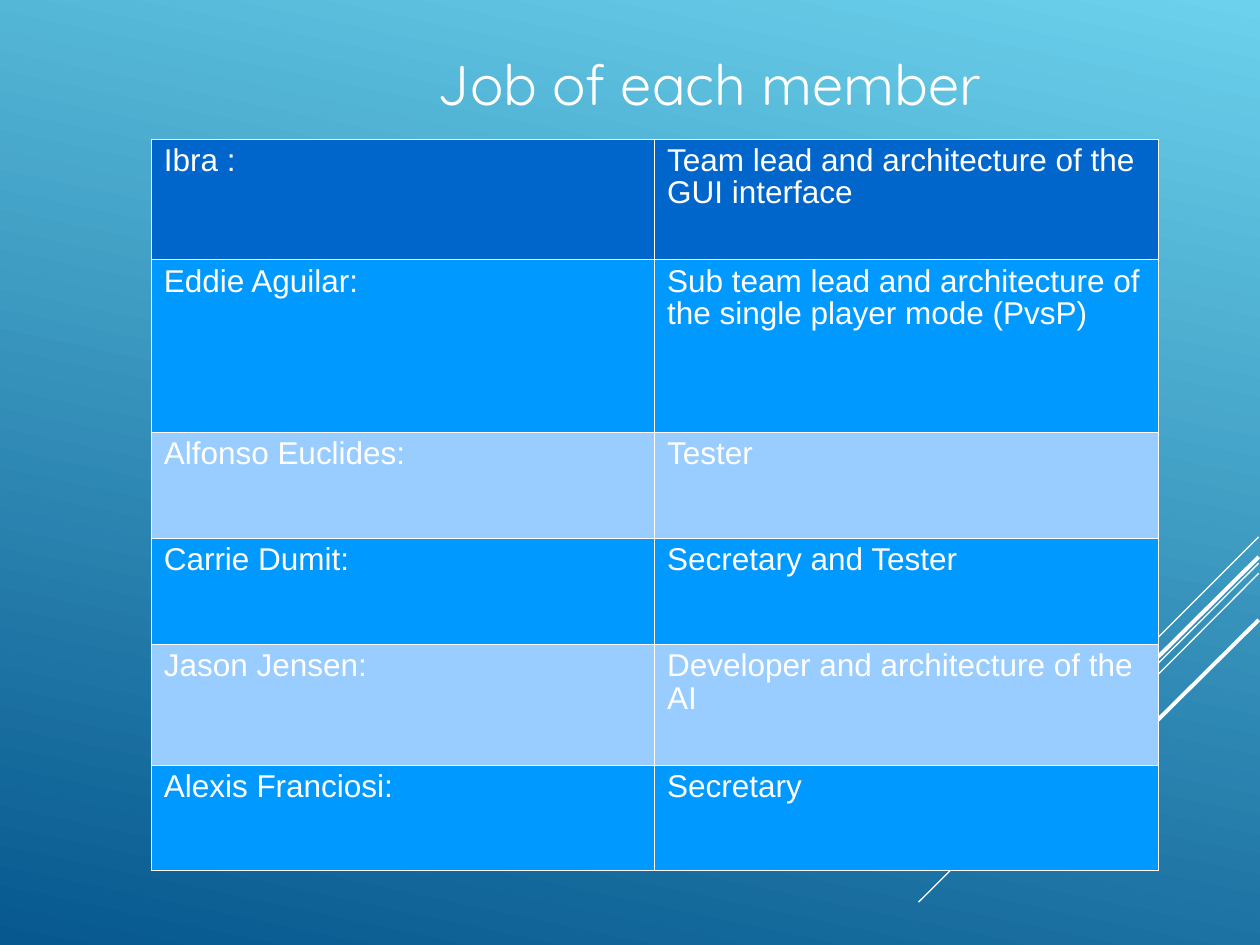
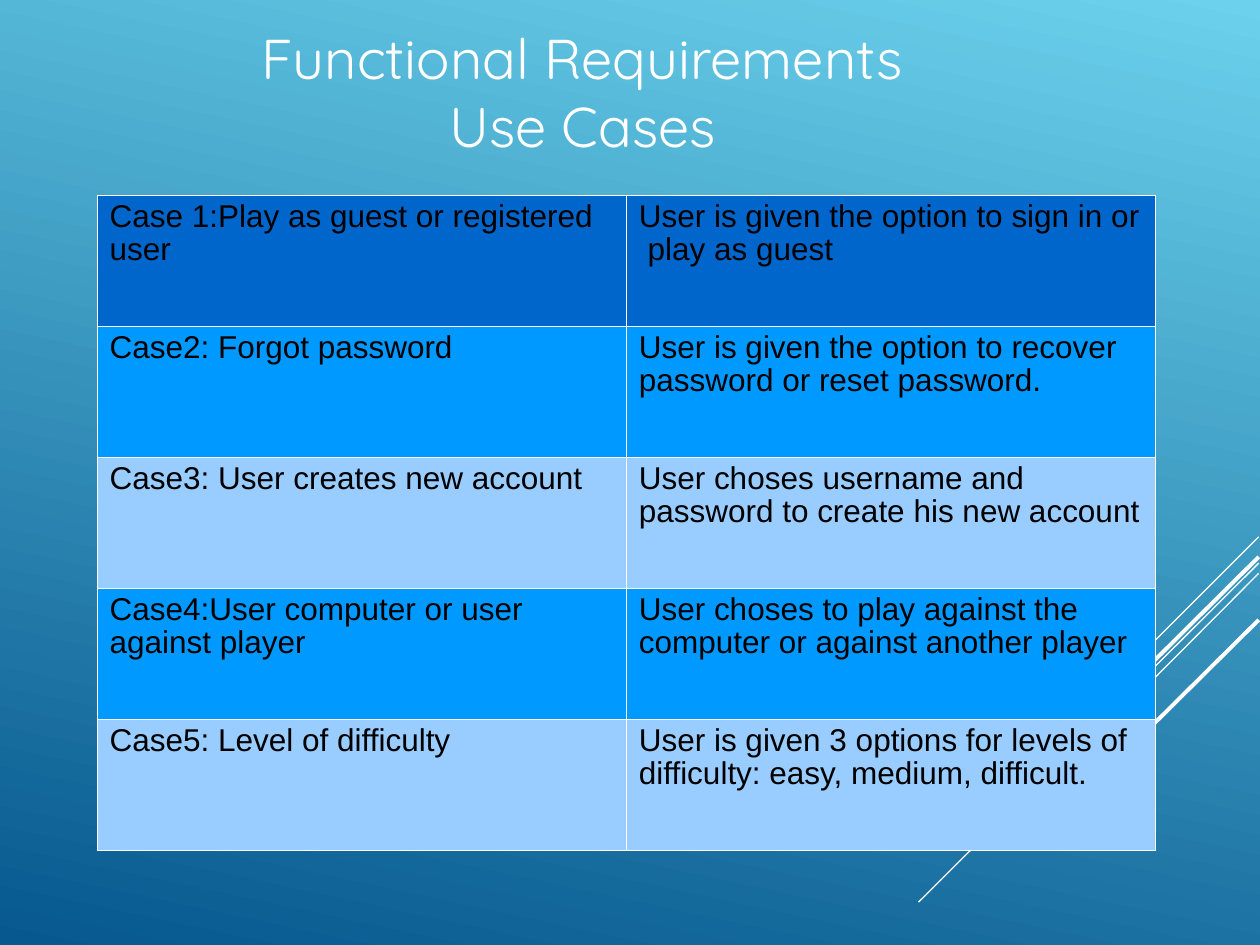
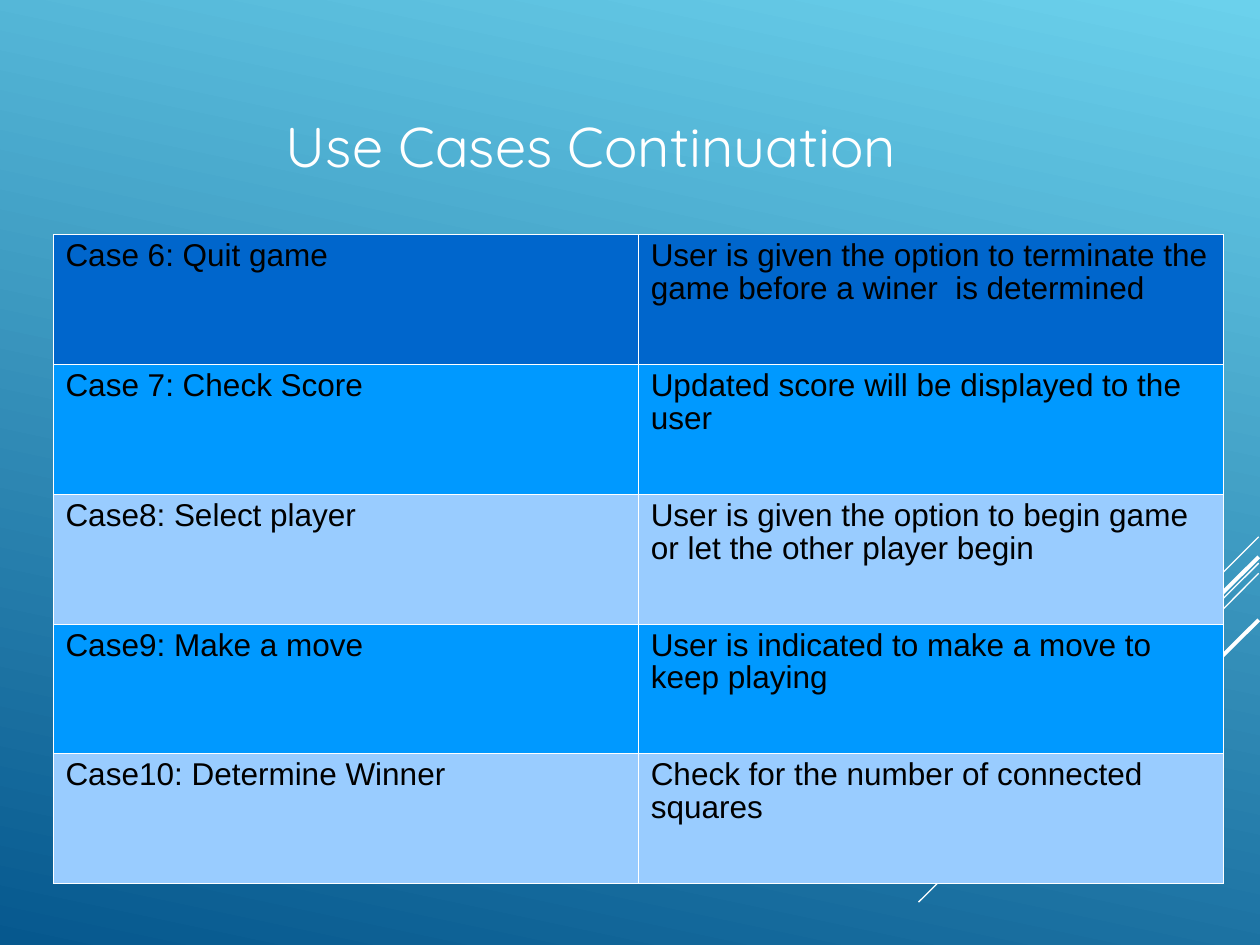
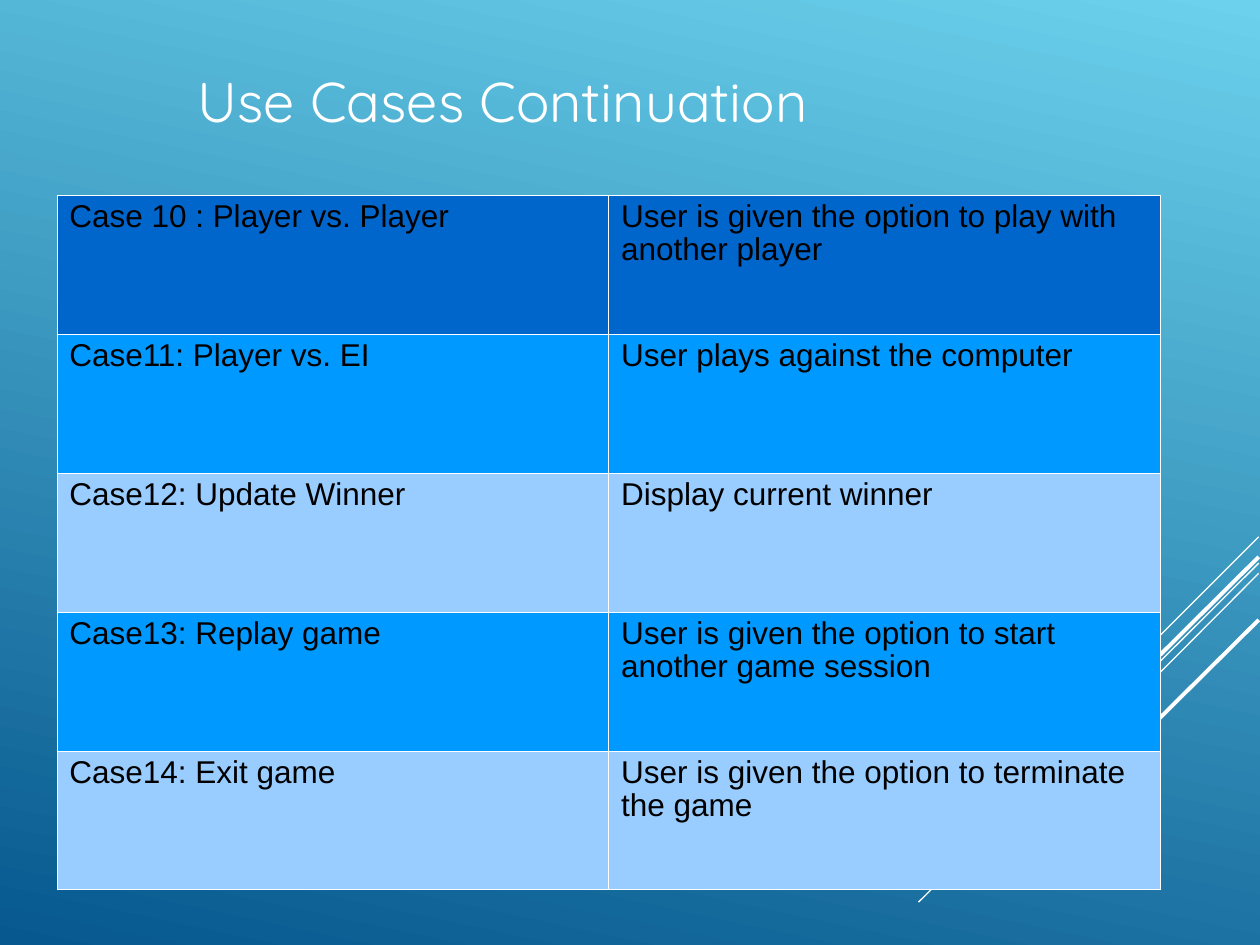
from dataclasses import dataclass

from lxml import etree
from pptx import Presentation
from pptx import util as u
from pptx.dml.color import RGBColor
from pptx.enum import shapes, text
from pptx.oxml.ns import qn


@dataclass(frozen=True)
class Theme:
    white: RGBColor = RGBColor.from_string("FFFFFF")
    black: RGBColor = RGBColor.from_string("000000")
    gradient: tuple = (RGBColor.from_string("06588E"), RGBColor.from_string("6BD1EC"))
    gradient_angle: int = 78
    header_fill: RGBColor = RGBColor.from_string("0066CC")
    band_fills: tuple = (RGBColor.from_string("0099FF"), RGBColor.from_string("99CCFF"))
    title_font: str = "Quicksand"
    title_size: int = 32
    table_font: str = "Arial"
    table_size: int = 18
    line_spacing: float = 0.93
    border_width: float = 0.06
    thin: float = 0.75
    thick: float = 2.25


THEME = Theme()
TITLE_SIZE = (7.17, 1.67)
CENTERED_INSETS = (0.1, 0.05, 0.1, 0.05)
LEFT_INSETS = (0, 0.03, 0, 0)

# Start height on the right edge, end point, line width
CORNER_LINES = [
    (4.26, (9.17, 5.08), THEME.thin),
    (4.47, (7.29, 7.16), THEME.thin),
    (4.55, (8.28, 6.27), THEME.thin),
    (4.42, (8.41, 5.99), THEME.thick),
    (4.92, (8.84, 6.06), THEME.thick),
]

MEMBER_JOBS = [
    ("Ibra :", "Team lead and architecture of the GUI interface"),
    ("Eddie Aguilar:", "Sub team lead and architecture of the single player mode (PvsP)"),
    ("Alfonso Euclides:", "Tester"),
    ("Carrie Dumit:", "Secretary and Tester"),
    ("Jason Jensen:", "Developer and architecture of the AI"),
    ("Alexis Franciosi:", "Secretary"),
]
FIRST_CASES = [
    ("Case 1:Play as guest or registered user",
     "User is given the option to sign in or  play as guest"),
    ("Case2: Forgot password",
     "User is given the option to recover password or reset password."),
    ("Case3: User creates new account",
     "User choses username and password to create his new account"),
    ("Case4:User computer or user against player",
     "User choses to play against the computer or against another player"),
    ("Case5: Level of difficulty",
     "User is given 3 options for levels of difficulty: easy, medium, difficult."),
]
GAME_CASES = [
    ("Case 6: Quit game",
     "User is given the option to terminate the game before a winer  is determined"),
    ("Case 7: Check Score", "Updated score will be displayed to the user"),
    ("Case8: Select player",
     "User is given the option to begin game or let the other player begin"),
    ("Case9: Make a move", "User is indicated to make a move to keep playing"),
    ("Case10: Determine Winner", "Check for the number of connected squares"),
]
SESSION_CASES = [
    ("Case 10 : Player vs. Player", "User is given the option to play with another player"),
    ("Case11: Player vs. EI", "User plays against the computer"),
    ("Case12: Update Winner", "Display current winner"),
    ("Case13: Replay game", "User is given the option to start another game session"),
    ("Case14: Exit game", "User is given the option to terminate the game"),
]


def set_background(master):
    fill = master.background.fill
    fill.gradient()
    fill.gradient_angle = THEME.gradient_angle
    for stop, color in zip(fill.gradient_stops, THEME.gradient):
        stop.color.rgb = color


def format_runs(paragraph, font_name, size, color):
    for run in paragraph.runs:
        run.font.name = font_name
        run.font.size = u.Pt(size)
        run.font.color.rgb = color


def add_corner_lines(slide):
    group = slide.shapes.add_group_shape()
    for start_y, (end_x, end_y), width in CORNER_LINES:
        line = group.shapes.add_connector(
            shapes.MSO_CONNECTOR.STRAIGHT,
            u.Inches(9.99), u.Inches(start_y), u.Inches(end_x), u.Inches(end_y))
        line.line.color.rgb = THEME.white
        line.line.width = u.Pt(width)
        etree.SubElement(line._element.spPr, qn("a:effectLst"))


def add_title(slide, title, left, top, centered=False, indent=0, bottom_inset=0):
    """Centred titles hang from the top; the others start left, in the middle."""
    box = slide.shapes.add_textbox(*map(u.Inches, (left, top, *TITLE_SIZE)))
    frame = box.text_frame
    frame.word_wrap = True
    insets = CENTERED_INSETS if centered else LEFT_INSETS
    frame.margin_left, frame.margin_top, frame.margin_right, frame.margin_bottom = map(
        u.Inches, insets)
    paragraph = frame.paragraphs[0]
    paragraph.text = title
    if centered:
        frame.vertical_anchor = text.MSO_ANCHOR.TOP
        paragraph.alignment = text.PP_ALIGN.CENTER
    else:
        frame.vertical_anchor = text.MSO_ANCHOR.MIDDLE
        frame.margin_bottom = u.Inches(bottom_inset)
        paragraph.line_spacing = THEME.line_spacing
    if indent:
        paragraph._p.get_or_add_pPr().set("marL", str(u.Inches(indent)))
    format_runs(paragraph, THEME.title_font, THEME.title_size, THEME.white)


def add_borders(cell):
    properties = cell._tc.get_or_add_tcPr()
    for side in ("lnL", "lnR", "lnT", "lnB"):
        border = etree.SubElement(properties, qn(f"a:{side}"), w=str(u.Pt(THEME.border_width)))
        fill = etree.SubElement(border, qn("a:solidFill"))
        etree.SubElement(fill, qn("a:srgbClr"), val=str(THEME.white))


def fill_cell(cell, content, fill_color, text_color):
    add_borders(cell)
    cell.fill.solid()
    cell.fill.fore_color.rgb = fill_color
    paragraph = cell.text_frame.paragraphs[0]
    paragraph.text = content
    paragraph.line_spacing = THEME.line_spacing
    format_runs(paragraph, THEME.table_font, THEME.table_size, text_color)


def add_banded_table(slide, rows, box, text_color=THEME.black, row_heights=None):
    """Two equal columns; rows share the height of the box unless heights are given."""
    left, top, width, height = box
    table = slide.shapes.add_table(len(rows), 2, *map(u.Inches, box)).table
    table.first_row = table.horz_banding = False
    for column in table.columns:
        column.width = u.Inches(width / 2)
    heights = row_heights or [height / len(rows)] * len(rows)
    for index, (entries, row_height) in enumerate(zip(rows, heights)):
        table.rows[index].height = u.Inches(row_height)
        fill_color = THEME.band_fills[(index - 1) % 2] if index else THEME.header_fill
        for cell, content in zip(table.rows[index].cells, entries):
            fill_cell(cell, content, fill_color, text_color)


def add_slide(presentation):
    slide = presentation.slides.add_slide(presentation.slide_layouts[6])
    add_corner_lines(slide)
    return slide


def main():
    presentation = Presentation()
    presentation.slide_width, presentation.slide_height = u.Inches(10), u.Inches(7.5)
    set_background(presentation.slide_master)

    slide = add_slide(presentation)
    add_title(slide, "Job of each member", 1.2, 0.34, centered=True, indent=1.7)
    add_banded_table(slide, MEMBER_JOBS, (1.2, 1.1, 7.99, 5.81), THEME.white,
                     row_heights=[0.96, 1.37, 0.84, 0.84, 0.96, 0.84])

    slide = add_slide(presentation)
    add_title(slide, "Functional Requirements\nUse Cases", 1.04, 0.14, centered=True)
    add_banded_table(slide, FIRST_CASES, (0.77, 1.55, 8.4, 5.2))

    slide = add_slide(presentation)
    add_title(slide, "Use Cases Continuation", 1.43, 0.33, indent=0.84)
    add_banded_table(slide, GAME_CASES, (0.42, 1.86, 9.29, 5.15))

    slide = add_slide(presentation)
    add_title(slide, "Use Cases Continuation", 1.57, 0.23, bottom_inset=0.52)
    add_banded_table(slide, SESSION_CASES, (0.45, 1.55, 8.76, 5.51))

    presentation.save("out.pptx")


if __name__ == "__main__":
    main()
